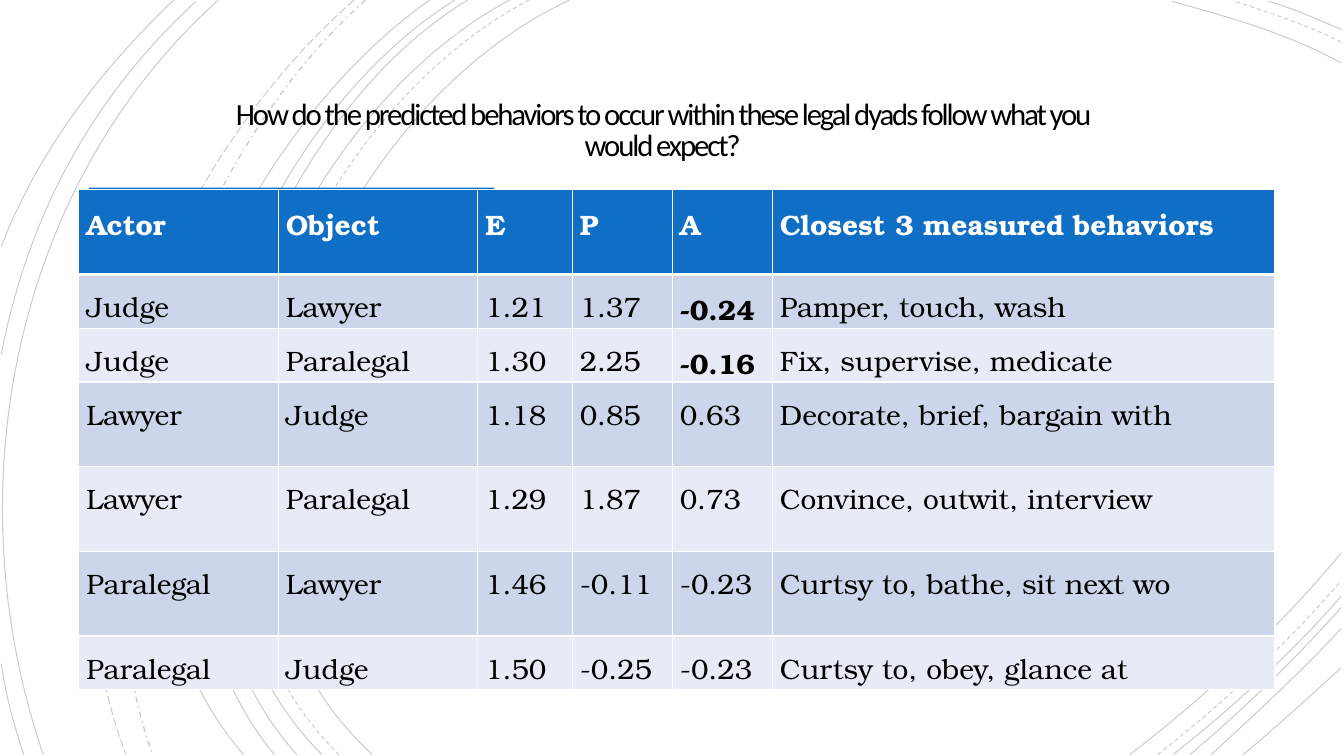
from lxml import etree
from pptx import Presentation
from pptx import util as u
from pptx.dml import color
from pptx.enum import dml, shapes, text
from pptx.oxml import ns

Pt = u.Pt
BLUE, WHITE, BLACK = "0F6FC6", "FFFFFF", "000000"
BANDS = ("CCD5EA", "E7EBF5")
SOLID, DASH = dml.MSO_LINE.SOLID, dml.MSO_LINE.DASH
LONG_DASH, DASH_DOT = dml.MSO_LINE.LONG_DASH, dml.MSO_LINE.DASH_DOT

ARCS = [
    (SOLID, (407, 0), (227, 83), (103, 389), (266, 539)),
    (SOLID, (958, 45), (920, 24), (877, 12), (837, 1)),
    (SOLID, (807, 539), (862, 497), (914, 448), (958, 395)),
    (DASH, (378, 0), (205, 90), (89, 387), (242, 539)),
    (DASH, (958, 30), (934, 18), (907, 9), (882, 1)),
    (DASH, (827, 539), (873, 503), (918, 461), (958, 415)),
    (SOLID, (364, 0), (194, 91), (79, 387), (230, 539)),
    (SOLID, (958, 21), (941, 14), (924, 6), (906, 1)),
    (SOLID, (838, 539), (881, 505), (922, 467), (958, 426)),
    (SOLID, (334, 0), (176, 96), (79, 390), (212, 539)),
    (SOLID, (850, 539), (888, 507), (924, 472), (958, 434)),
    (SOLID, (325, 0), (166, 99), (70, 384), (196, 539)),
    (SOLID, (865, 539), (897, 510), (929, 480), (958, 449)),
    (SOLID, (307, 0), (156, 106), (38, 381), (174, 539)),
    (SOLID, (888, 539), (912, 519), (935, 498), (958, 477)),
    (DASH_DOT, (261, 0), (127, 120), (47, 366), (109, 539)),
    (LONG_DASH, (253, 0), (113, 122), (21, 359), (90, 539)),
    (SOLID, (156, 0), (8, 133), (-33, 353), (31, 539)),
    (SOLID, (140, 1), (66, 69), (20, 154), (1, 253)),
    (SOLID, (1, 474), (4, 496), (10, 518), (17, 539)),
    (SOLID, (124, 0), (72, 50), (27, 108), (1, 176)),
]

TITLE = ("How do the predicted behaviors to occur within these legal dyads "
         "follow what you would expect?")
COLUMN_WIDTHS = (142.5, 142.5, 67.5, 71.5, 71.5, 359)
ROW_HEIGHTS = (60.5, 38, 38, 60.5, 60.5, 60.5, 38)
BEHAVIORS = [
    ("Actor", "Object", "E", "P", "A", "Closest 3 measured behaviors"),
    ("Judge", "Lawyer", "1.21", "1.37", "-0.24", "Pamper, touch, wash"),
    ("Judge", "Paralegal", "1.30", "2.25", "-0.16", "Fix, supervise, medicate"),
    ("Lawyer", "Judge", "1.18", "0.85", "0.63", "Decorate, brief, bargain with"),
    ("Lawyer", "Paralegal", "1.29", "1.87", "0.73", "Convince, outwit, interview"),
    ("Paralegal", "Lawyer", "1.46", "-0.11", "-0.23", "Curtsy to, bathe, sit next wo"),
    ("Paralegal", "Judge", "1.50", "-0.25", "-0.23", "Curtsy to, obey, glance at"),
]
BOLD_VALUES = ("-0.24", "-0.16")


def rgb(value):
    """Turn a hex string into a colour."""
    return color.RGBColor.from_string(value)


def set_all(target, values):
    """Set each attribute named in a dict of format values."""
    for name, value in values.items():
        setattr(target, name, value)


def write(frame, words, font, paragraph_format, hex_color):
    """Write one formatted paragraph and return its run."""
    paragraph = frame.paragraphs[0]
    set_all(paragraph, paragraph_format)
    run = paragraph.add_run()
    run.text = words
    set_all(run.font, font)
    run.font.color.rgb = rgb(hex_color)
    return run


def add_arc(slide, dash, start, *controls):
    """Draw one faint cubic curve of the background."""
    builder = slide.shapes.build_freeform(Pt(start[0]), Pt(start[1]))
    builder.add_line_segments([(Pt(x), Pt(y)) for x, y in controls], close=False)
    shape = builder.convert_to_shape()
    shape.shadow.inherit = False
    shape.fill.background()
    set_all(shape.line, {"width": Pt(1 if dash == DASH_DOT else 0.75),
                         "dash_style": dash})
    shape.line.color.rgb = rgb(BLACK)
    ink = shape.element.xpath(".//a:ln//a:srgbClr")[0]
    etree.SubElement(ink, ns.qn("a:alpha"), val="20000")
    segments = shape.element.xpath(".//a:lnTo")
    curve = etree.SubElement(segments[0].getparent(), ns.qn("a:cubicBezTo"))
    for segment in segments:
        curve.append(segment[0])
        segment.getparent().remove(segment)


def add_bar(slide, left, top, width, height):
    """Add the blue bar that edges the table."""
    shape = slide.shapes.add_shape(shapes.MSO_SHAPE.RECTANGLE, Pt(left), Pt(top),
                                   Pt(width), Pt(height))
    shape.shadow.inherit = False
    shape.fill.solid()
    shape.fill.fore_color.rgb = rgb(BLUE)
    shape.line.fill.background()


def add_title(slide, left, top, width, height):
    """Add the centred question above the table."""
    frame = slide.shapes.add_textbox(Pt(left), Pt(top), Pt(width), Pt(height)).text_frame
    sides = ("margin_left", "margin_top", "margin_right", "margin_bottom")
    set_all(frame, dict.fromkeys(sides, Pt(18)))
    set_all(frame, {"word_wrap": True, "vertical_anchor": text.MSO_ANCHOR.MIDDLE})
    run = write(frame, TITLE, {"size": Pt(22), "name": "Calibri"},
                {"alignment": text.PP_ALIGN.CENTER, "line_spacing": 0.85}, BLACK)
    run.font._element.set("spc", "-150")


def add_borders(cell, widths):
    """Give a cell white borders of the given widths by side."""
    properties = cell._tc.get_or_add_tcPr()
    for index, (side, width) in enumerate(widths.items()):
        line = etree.Element(ns.qn(f"a:ln{side}"), w=str(Pt(width)))
        fill = etree.SubElement(line, ns.qn("a:solidFill"))
        etree.SubElement(fill, ns.qn("a:srgbClr"), val=WHITE)
        properties.insert(index, line)


def fill_cell(cell, words, row):
    """Write and format one table cell."""
    header = row == 0
    sides = ("margin_left", "margin_top", "margin_right", "margin_bottom")
    set_all(cell, dict.fromkeys(sides, Pt(5.4)))
    cell.fill.solid()
    cell.fill.fore_color.rgb = rgb(BLUE if header else BANDS[(row - 1) % 2])
    font = {"size": Pt(20), "name": "TeX Gyre Bonum",
            "bold": header or words in BOLD_VALUES}
    write(cell.text_frame, words, font, {"line_spacing": 1.15},
          WHITE if header else BLACK)
    add_borders(cell, {"L": 1, "R": 1, "T": 3 if row == 1 else 1,
                       "B": 3 if header else 1})


def add_behavior_table(slide, left, top):
    """Add the table of actors, objects and behaviors."""
    table = slide.shapes.add_table(
        len(BEHAVIORS), len(COLUMN_WIDTHS), Pt(left), Pt(top),
        Pt(sum(COLUMN_WIDTHS)), Pt(sum(ROW_HEIGHTS))).table
    for column, width in zip(table.columns, COLUMN_WIDTHS):
        column.width = Pt(width)
    for row, (height, values) in enumerate(zip(ROW_HEIGHTS, BEHAVIORS)):
        table.rows[row].height = Pt(height)
        for column, words in enumerate(values):
            fill_cell(table.cell(row, column), words, row)


def main():
    """Build and save the slide."""
    presentation = Presentation()
    set_all(presentation, {"slide_width": Pt(960), "slide_height": Pt(540)})
    slide = presentation.slides.add_slide(presentation.slide_layouts[6])
    for arc in ARCS:
        add_arc(slide, *arc)
    add_bar(slide, 63.5, 134, 289.5, 39.5)
    add_title(slide, 131.75, 52.5, 683.25, 82.75)
    add_behavior_table(slide, 56.25, 135.5)
    presentation.save("out.pptx")


if __name__ == "__main__":
    main()
